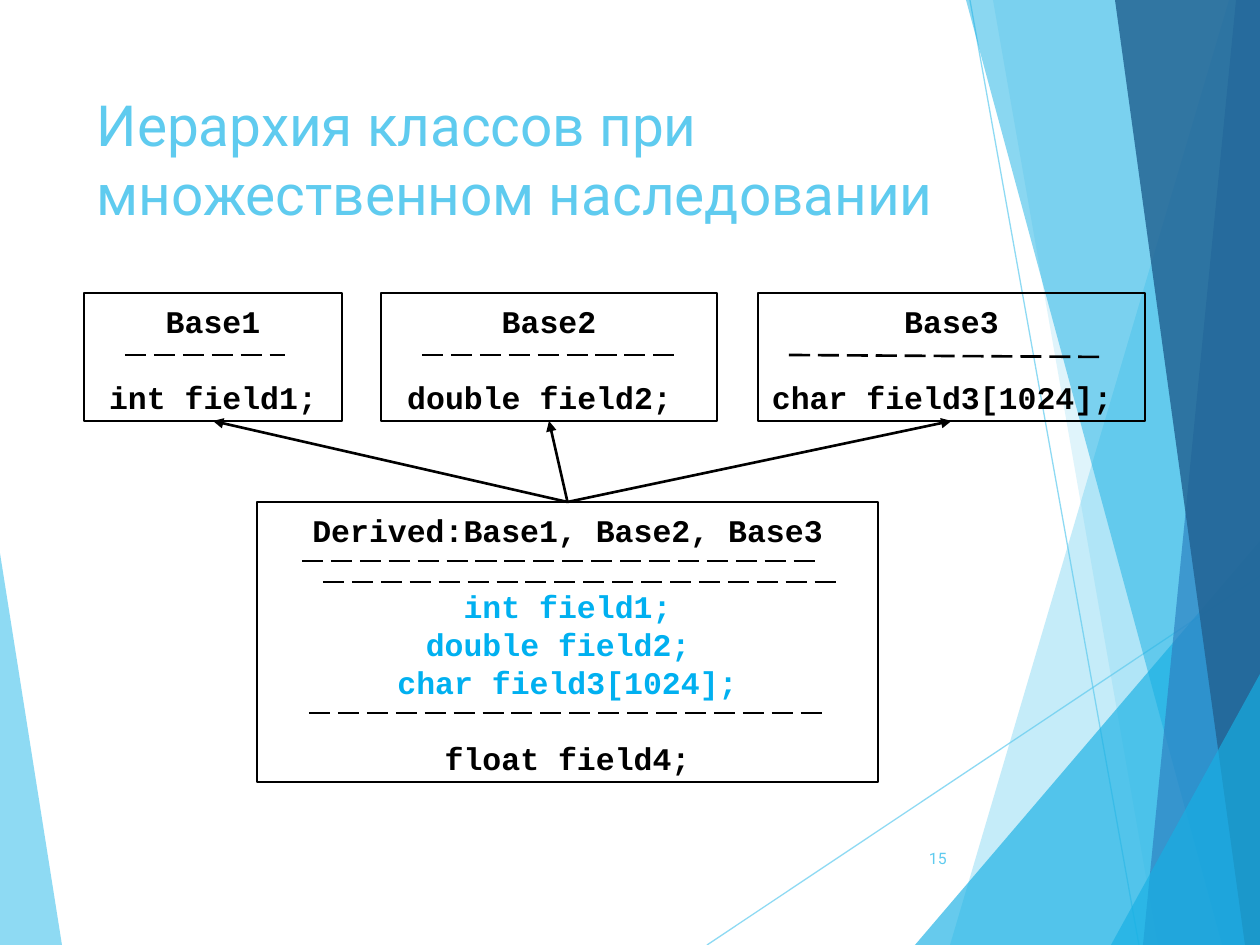
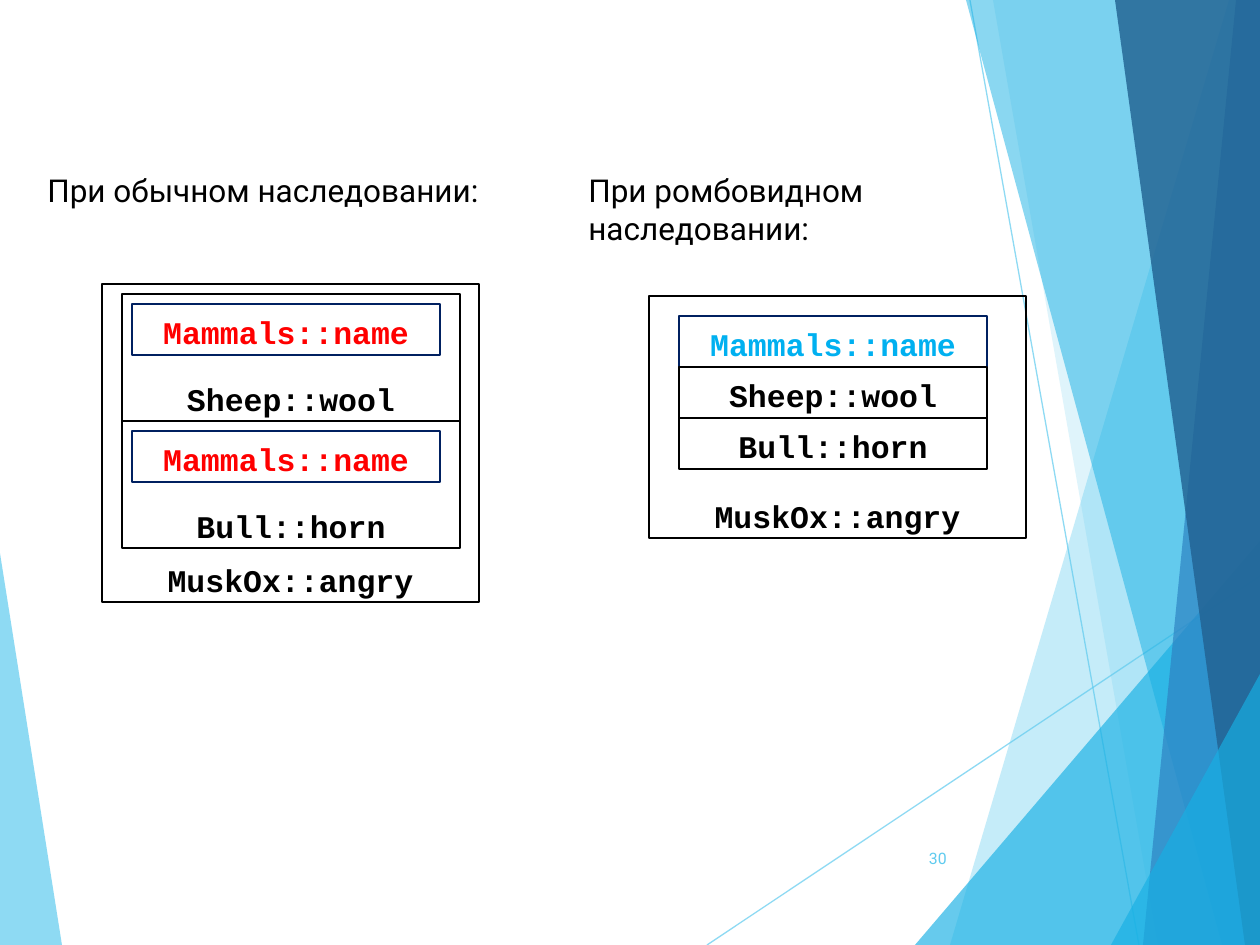
from dataclasses import dataclass

from lxml import etree
from pptx import Presentation
from pptx.dml.color import RGBColor
from pptx.enum.dml import MSO_LINE
from pptx.enum.shapes import MSO_CONNECTOR, MSO_SHAPE
from pptx.enum.text import MSO_ANCHOR, MSO_AUTO_SIZE, PP_ALIGN
from pptx.oxml.ns import qn
from pptx.util import Emu, Pt

SCALE = 914400 / 126
RECT = MSO_SHAPE.RECTANGLE
LINE = MSO_CONNECTOR.STRAIGHT
DASH = MSO_LINE.LONG_DASH
TOP, MIDDLE, BOTTOM = MSO_ANCHOR.TOP, MSO_ANCHOR.MIDDLE, MSO_ANCHOR.BOTTOM
LEFT, CENTER, RIGHT = PP_ALIGN.LEFT, PP_ALIGN.CENTER, PP_ALIGN.RIGHT
TITLE_ONLY, BLANK = 5, 6
TOP_SIDE, BOTTOM_SIDE = 0, 2


@dataclass(frozen=True)
class Theme:
    sans: str = "Roboto"
    mono: str = "Courier New"
    title: float = 32.4
    body: int = 18
    small: int = 9
    thin: float = 0.75
    thick: float = 1.5
    row: int = 38
    black: str = "000000"
    navy: str = "002060"
    red: str = "FF0000"
    cyan: str = "00B0F0"
    sky: str = "5FCBEF"
    azure: str = "17B0E4"
    blue: str = "2E83C3"
    deep: str = "226292"


THEME = Theme()

RAYS = [((707, 945), (1260, 576)), ((970, 0), (1139, 945))]
WEDGE = (THEME.sky, 70, [(0, 553), (62, 945), (0, 945)])
BANDS = [
    (THEME.sky, 36, [(1229, 0), (950, 945), (1260, 945), (1260, 0)]),
    (THEME.sky, 20, [(993, 0), (1158, 945), (1260, 945), (1260, 0)]),
    (THEME.azure, 66, [(915, 945), (1260, 541), (1260, 945)]),
    (THEME.azure, 50, [(966, 0), (1222, 945), (1260, 945), (1260, 0)]),
    (THEME.blue, 70, [(1236, 0), (1143, 945), (1260, 945), (1260, 0)]),
    (THEME.deep, 82, [(1115, 0), (1245, 945), (1260, 945), (1260, 0)]),
    (THEME.azure, 66, [(1111, 945), (1260, 674), (1260, 945)]),
]


def px(*sizes):
    return [Emu(round(size * SCALE)) for size in sizes]


def rgb(code):
    return RGBColor.from_string(code)


def fade(shape, alpha):
    for color in shape._element.spPr.iter(qn("a:srgbClr")):
        etree.SubElement(color, qn("a:alpha"), val=str(alpha * 1000))


def style(para, face, size, color, align, bold=False):
    para.alignment = align
    font = para.font
    font.name, font.size, font.bold = face, Pt(size), bold
    font.color.rgb = rgb(color)


def add_band(slide, color, alpha, points):
    pen = slide.shapes.build_freeform(*points[0], scale=SCALE)
    pen.add_line_segments(points[1:], close=True)
    band = pen.convert_to_shape()
    band.shadow.inherit = False
    band.fill.solid()
    band.fill.fore_color.rgb = rgb(color)
    band.line.fill.background()
    fade(band, alpha)


def add_line(slide, start, end, color=THEME.black, width=THEME.thick):
    line = slide.shapes.add_connector(LINE, *px(*start, *end))
    line.line.color.rgb = rgb(color)
    line.line.width = Pt(width)
    etree.SubElement(line._element.spPr, qn("a:effectLst"))
    return line


def add_dash(slide, start, end):
    add_line(slide, start, end).line.dash_style = DASH


def add_arrow(slide, source, target):
    arrow = add_line(slide, (0, 0), (0, 0))
    arrow.begin_connect(source, TOP_SIDE)
    arrow.end_connect(target, BOTTOM_SIDE)
    etree.SubElement(arrow.line._get_or_add_ln(), qn("a:tailEnd"), type="triangle")


def add_text(slide, area, text, size, color, align=LEFT, anchor=TOP):
    frame = slide.shapes.add_textbox(*px(*area)).text_frame
    frame.word_wrap = True
    frame.vertical_anchor = anchor
    frame.text = text
    style(frame.paragraphs[0], THEME.sans, size, color, align)


def add_box(slide, area, rows=(), edge=THEME.black, anchor=TOP):
    box = slide.shapes.add_shape(RECT, *px(*area))
    box.shadow.inherit = False
    box.fill.background()
    box.line.color.rgb = rgb(edge)
    box.line.width = Pt(THEME.thin)
    frame = box.text_frame
    frame.word_wrap = True
    frame.vertical_anchor = anchor
    frame.margin_top, frame.margin_bottom = px(9, 3)
    for index, (text, color, skip) in enumerate(rows):
        para = frame.add_paragraph() if index else frame.paragraphs[0]
        para.text = text
        style(para, THEME.mono, THEME.body, color, CENTER, True)
        para.line_spacing = Pt(THEME.row * 72 / 126)
        para.space_before = Pt(skip * THEME.row * 72 / 126)
    return box


def add_label(slide, area, text, color=THEME.black, edge=THEME.black, anchor=TOP):
    return add_box(slide, area, [(text, color, 0)], edge, anchor)


def add_slide(deck, layout, number):
    slide = deck.slides.add_slide(deck.slide_layouts[layout])
    add_band(slide, *WEDGE)
    for start, end in RAYS:
        fade(add_line(slide, start, end, THEME.sky, THEME.thin), 70)
    for band in BANDS:
        add_band(slide, *band)
    add_text(slide, (888, 833, 71, 50), number, THEME.small, THEME.sky, RIGHT, MIDDLE)
    return slide


def set_title(slide, text):
    title = slide.shapes.title
    title.left, title.top, title.width, title.height = px(84, 84, 875, 182)
    frame = title.text_frame
    frame.text = text
    frame.word_wrap = True
    frame.auto_size = MSO_AUTO_SIZE.NONE
    frame.vertical_anchor = TOP
    style(frame.paragraphs[0], THEME.sans, THEME.title, THEME.sky, LEFT)


def build_tree(deck):
    slide = add_slide(deck, TITLE_ONLY, "15")
    set_title(slide, "Иерархия классов при множественном наследовании")
    black, cyan = THEME.black, THEME.cyan
    bases = [
        add_box(slide, (left, 293, width, 128), [(name, black, 0), (field, black, 1)])
        for left, width, name, field in [
            (84, 258, "Base1", "int field1;"),
            (381, 336, "Base2", "double field2; "),
            (758, 387, "Base3", "char field3[1024]; "),
        ]
    ]
    child = add_box(slide, (257, 502, 621, 280), [
        ("Derived:Base1, Base2, Base3", black, 0),
        ("int field1;", cyan, 1),
        ("double field2; ", cyan, 0),
        ("char field3[1024];", cyan, 0),
        ("float field4;", black, 1),
    ])
    for start, end in [
        ((125, 355), (285, 355)),
        ((422, 355), (679, 355)),
        ((789, 355), (1106, 357)),
        ((302, 561), (819, 561)),
        ((323, 582), (840, 582)),
        ((309, 713), (826, 713)),
    ]:
        add_dash(slide, start, end)
    for base in bases:
        add_arrow(slide, child, base)


def build_layout(deck):
    slide = add_slide(deck, BLANK, "30")
    add_text(slide, (35, 165, 507, 50), "При обычном наследовании:", THEME.body, THEME.black)
    add_text(slide, (576, 165, 515, 50), "При ромбовидном наследовании:", THEME.body, THEME.black)
    for area in [(102, 284, 377, 318), (649, 296, 377, 242)]:
        add_label(slide, area, "MuskOx::angry", anchor=BOTTOM)
    for top, name in [(294, "Sheep::wool"), (421, "Bull::horn")]:
        add_label(slide, (122, top, 338, 127), name, anchor=BOTTOM)
        add_label(slide, (132, top + 10, 308, 51), "Mammals::name", THEME.red, THEME.navy)
    for index, (name, color, edge) in enumerate([
        ("Mammals::name", THEME.cyan, THEME.navy),
        ("Sheep::wool", THEME.black, THEME.black),
        ("Bull::horn", THEME.black, THEME.black),
    ]):
        add_label(slide, (679, 316 + 51 * index, 308, 51), name, color, edge)


def main():
    deck = Presentation()
    deck.slide_width, deck.slide_height = px(1260, 945)
    build_tree(deck)
    build_layout(deck)
    deck.save("out.pptx")


if __name__ == "__main__":
    main()
